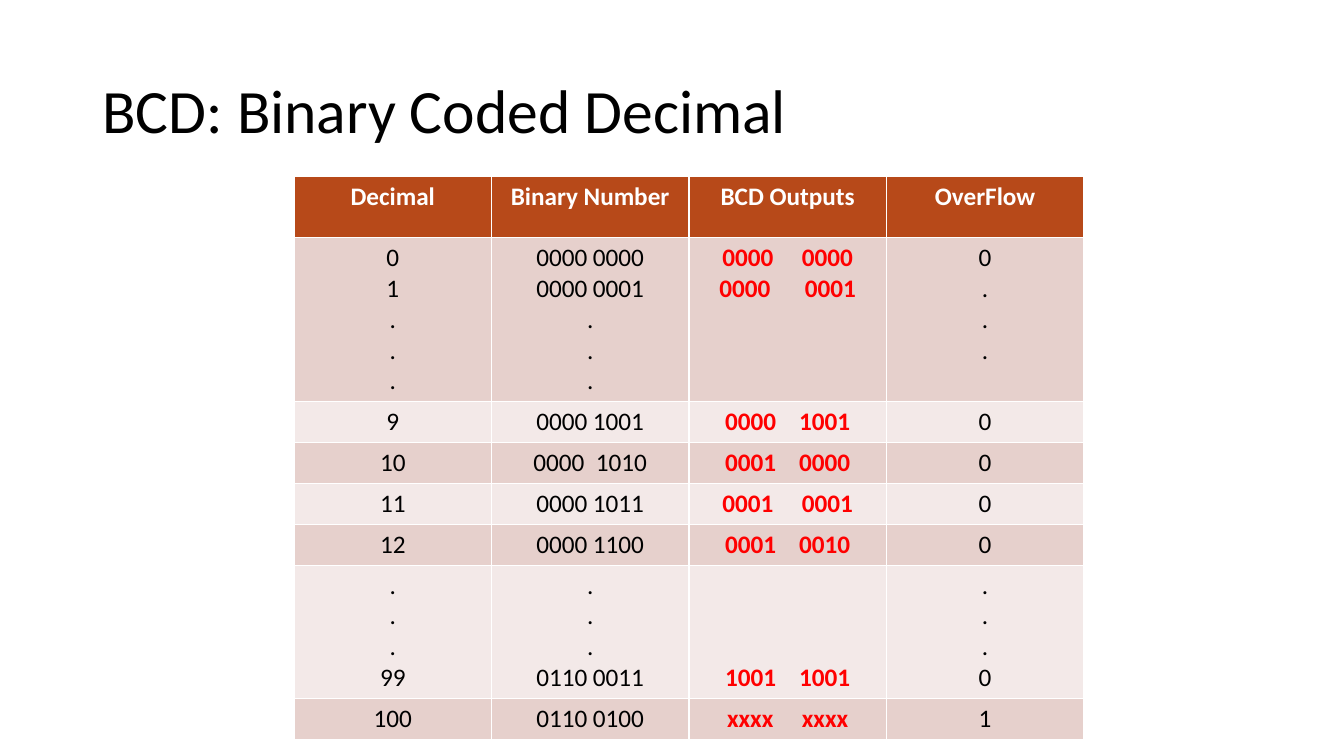
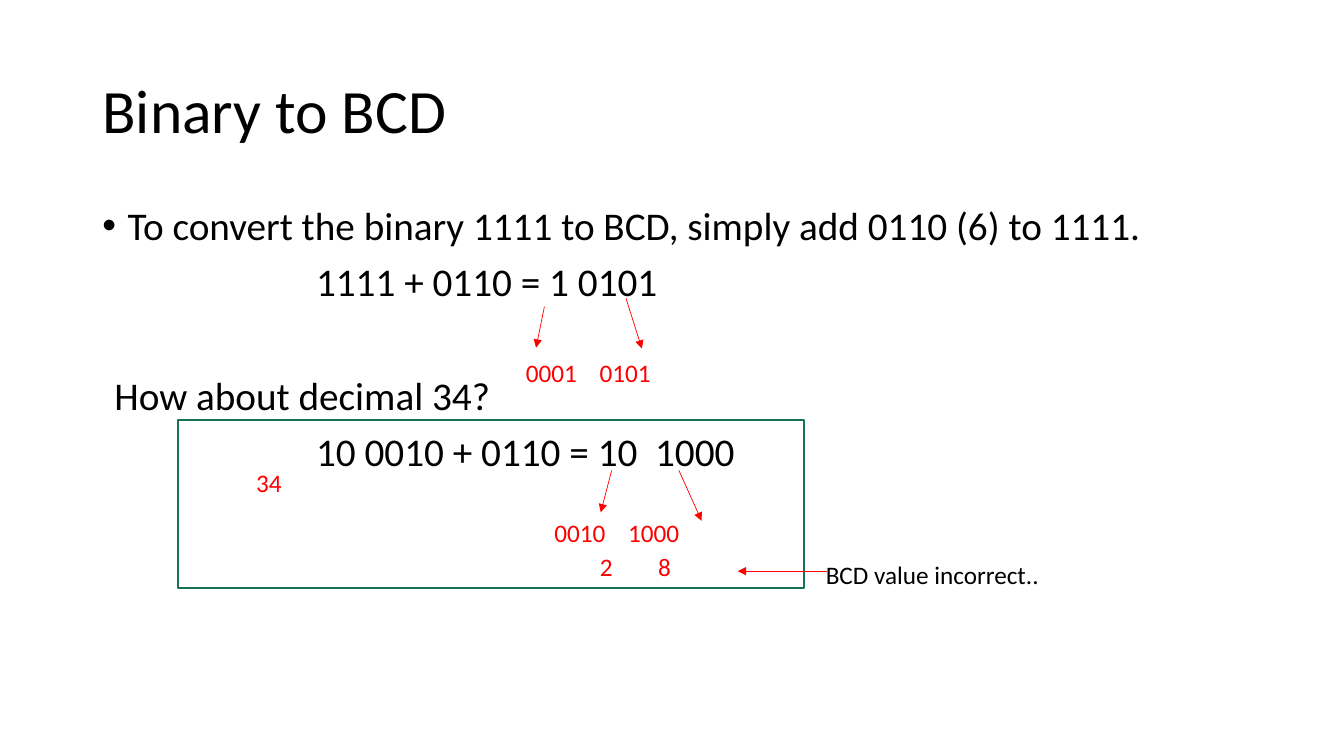
from pptx import Presentation
from pptx.dml.color import RGBColor
from pptx.enum.shapes import MSO_CONNECTOR, MSO_SHAPE
from pptx.enum.text import MSO_ANCHOR, PP_ALIGN
from pptx.oxml.ns import qn
from pptx.util import Inches, Pt
from lxml.etree import SubElement

UNITS = 12
FONT = "Calibri"
BLACK, WHITE, RED = "000000", "FFFFFF", "FF0000"
RUST, GREEN = "B74919", "157259"
BANDS = "E6D0CC", "F3E9E8"
SPACE = 22.6

TITLE = 11, 4.8, 138, 17.4
BODY = 11, 24, 138, 57
GRID = 35, 21, 94
FRAME = 21.2, 50, 74.5, 20

HEAD = "Decimal", "Binary Number", "BCD Outputs", "OverFlow"
ROWS = [
    ("0\n1\n.\n.\n.", "0000 0000\n0000 0001\n.\n.\n.", "0000|5|0000\n0000|6|0001", "0\n.\n.\n."),
    ("9", "0000 1001", "0000|4|1001", "0"),
    ("10", "0000|2|1010", "0001|4|0000", "0"),
    ("11", "0000 1011", "0001|5|0001", "0"),
    ("12", "0000 1100", "0001|4|0010", "0"),
    (".\n.\n.\n99", ".\n.\n.\n0110 0011", "1001|4|1001", ".\n.\n.\n0"),
    ("100", "0110 0100", "xxxx|5|xxxx", "1"),
]


def unit(*sizes):
    """Turn grid units into lengths."""
    return [Inches(size / UNITS) for size in sizes]


def shade(part, tone):
    """Give a fill or a font colour a solid tone."""
    part.rgb = RGBColor.from_string(tone)


def write(par, text, size, tone=BLACK, bold=False):
    """Write one paragraph, where |n| is a gap as wide as n spaces."""
    par.font.name, par.font.size, par.font.bold = FONT, Pt(size), bold
    shade(par.font.color, tone)
    for index, piece in enumerate(text.split("|")):
        run = par.add_run()
        run.text = piece
        if index % 2:
            run.text = " "
            wide = round(SPACE * size * (int(piece) - 1))
            run._r.get_or_add_rPr().set("spc", str(wide))


def add_slide(deck, text):
    """Add a slide with its title."""
    slide = deck.slides.add_slide(deck.slide_layouts[5])
    title = slide.shapes.title
    title.left, title.top, title.width, title.height = unit(*TITLE)
    frame = title.text_frame
    frame.vertical_anchor = MSO_ANCHOR.MIDDLE
    par = frame.paragraphs[0]
    par.alignment, par.line_spacing = PP_ALIGN.LEFT, 0.9
    write(par, text, 44)
    return slide


def add_text(shapes, box):
    """Add a wrapping text box and return its frame."""
    frame = shapes.add_textbox(*unit(*box)).text_frame
    frame.word_wrap = True
    return frame


def add_note(shapes, box, x, y, wide, text, tone=RED):
    """Add a small label at a place inside a box."""
    frame = add_text(shapes, (box[0] + x, box[1] + y, wide, 4.8))
    write(frame.paragraphs[0], text, 18, tone)


def add_arrow(shapes, box, start, end):
    """Draw a thin red arrow between two points of a box."""
    ends = [spot + edge for point in (start, end) for spot, edge in zip(point, box)]
    arrow = shapes.add_connector(MSO_CONNECTOR.STRAIGHT, *unit(*ends))
    arrow.line.width = Pt(0.5)
    shade(arrow.line.color, RED)
    props = arrow._element.spPr
    SubElement(props.find(qn("a:ln")), qn("a:tailEnd"), type="triangle")
    SubElement(props, qn("a:effectLst"))


def fill_cell(cell, text, back, tone, bold):
    """Fill one table cell with centred lines."""
    cell.fill.solid()
    shade(cell.fill.fore_color, back)
    frame = cell.text_frame
    for index, line in enumerate(text.split("\n")):
        par = frame.add_paragraph() if index else frame.paragraphs[0]
        par.alignment = PP_ALIGN.CENTER
        write(par, line, 18, tone, bold)


def add_grid(slide, box):
    """Add the table of decimal, binary and BCD values."""
    lines = [max(text.count("\n") + 1 for text in row) for row in ROWS]
    highs = [7.3] + [1.2 + 3.66 * count for count in lines]
    grid = slide.shapes.add_table(len(highs), len(HEAD), *unit(*box, sum(highs))).table
    for row, high in zip(grid.rows, unit(*highs)):
        row.height = high
    for col, text in enumerate(HEAD):
        fill_cell(grid.cell(0, col), text, RUST, WHITE, True)
    for row, texts in enumerate(ROWS):
        for col, text in enumerate(texts):
            code = col == 2
            fill_cell(grid.cell(row + 1, col), text, BANDS[row % 2], RED if code else BLACK, code)
    grid.cell(6, 2).vertical_anchor = MSO_ANCHOR.BOTTOM


def add_body(slide, box):
    """Add the main text, with one bullet and indented sums."""
    frame = add_text(slide.shapes, box)
    items = [
        ("To convert the binary 1111 to BCD, simply add 0110 (6) to 1111.", 0.25, 10),
        ("1111 + 0110 = 1 0101", 2.12, 10),
        ("How about decimal 34?", 0.12, 50.8),
        ("10 0010 + 0110 = 10|2|1000", 2.12, 10),
    ]
    for index, (text, left, gap) in enumerate(items):
        par = frame.add_paragraph() if index else frame.paragraphs[0]
        par.line_spacing, par.space_before = 0.9, Pt(gap)
        props = par._p.get_or_add_pPr()
        props.set("marL", str(Inches(left)))
        if not index:
            props.set("indent", str(-Inches(left)))
            SubElement(props, qn("a:buFont"), typeface="Arial")
            SubElement(props, qn("a:buChar"), char="•")
        write(par, text, 28)


def add_sum(slide, box):
    """Mark the two digits of the first sum."""
    shapes = slide.shapes
    add_note(shapes, box, 50.4, 17.9, 18, "0001|4|0101")
    add_arrow(shapes, box, (53.8, 12.5), (52.8, 17.4))
    add_arrow(shapes, box, (63.5, 11.5), (65.4, 17.5))


def add_case(slide, box):
    """Add the framed case whose BCD value is wrong."""
    shapes = slide.shapes.add_group_shape().shapes
    add_note(shapes, box, 49, 15, 15, "2|8|8")
    add_note(shapes, box, 8.1, 5, 7.3, "34")
    add_note(shapes, box, 43.6, 11, 23, "0010|4|1000")
    add_arrow(shapes, box, (51.6, 6), (50.3, 11))
    add_arrow(shapes, box, (59.6, 6), (62.3, 12))
    frame = shapes.add_shape(MSO_SHAPE.RECTANGLE, *unit(*box))
    frame.shadow.inherit = False
    frame.fill.background()
    frame.line.width = Pt(1)
    shade(frame.line.color, GREEN)
    add_note(shapes, box, 75.9, 16, 37.3, "BCD value incorrect..", BLACK)
    add_arrow(shapes, box, (77.2, 18), (66.6, 18))


def main():
    """Build and save the deck."""
    deck = Presentation()
    deck.slide_width, deck.slide_height = Inches(13.33), Inches(7.5)
    add_grid(add_slide(deck, "BCD: Binary Coded Decimal"), GRID)
    slide = add_slide(deck, "Binary to BCD")
    add_body(slide, BODY)
    add_sum(slide, BODY)
    add_case(slide, FRAME)
    deck.save("out.pptx")


if __name__ == "__main__":
    main()
